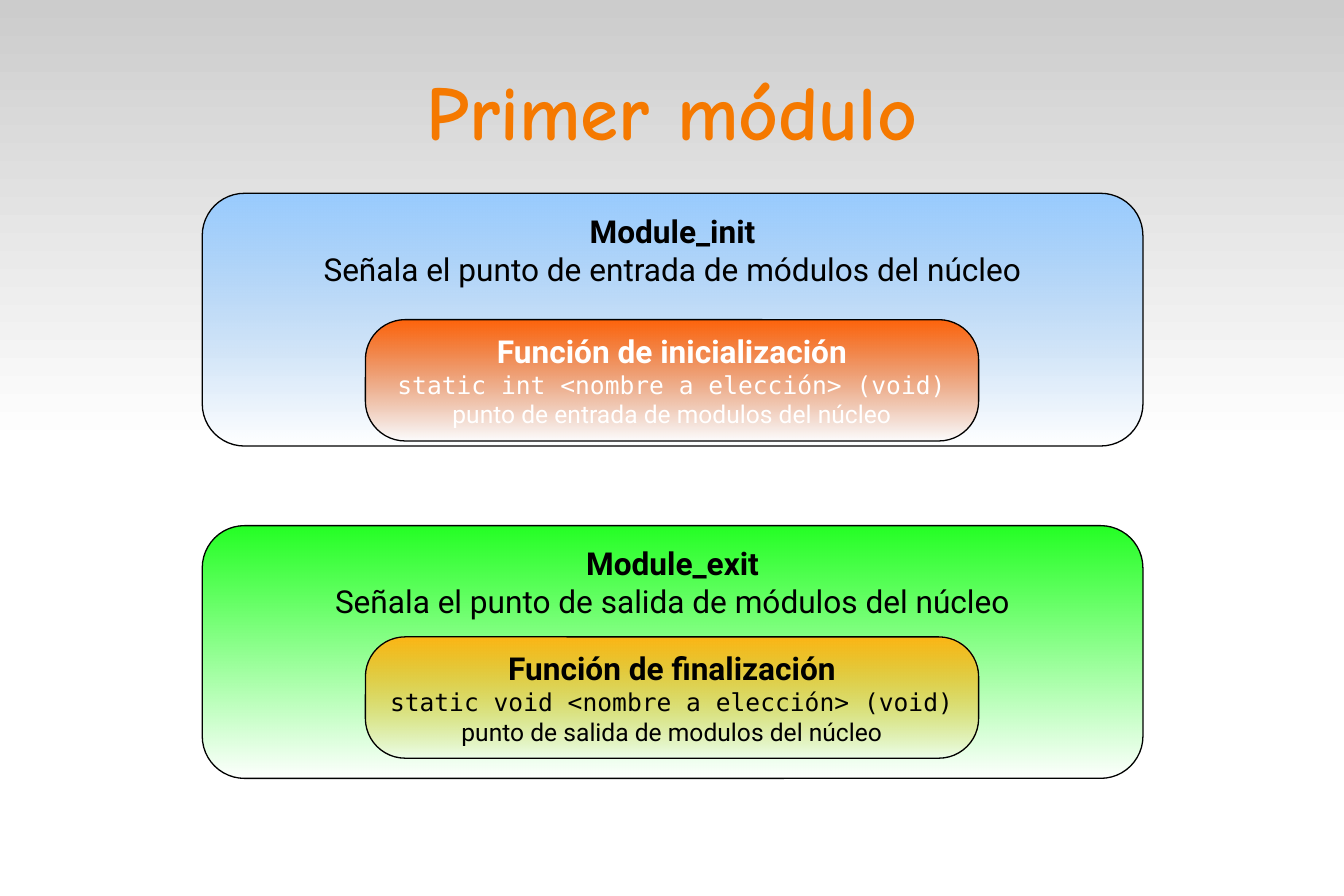
from lxml.etree import SubElement
from pptx import Presentation
from pptx.dml.color import RGBColor
from pptx.enum.shapes import MSO_SHAPE as Shape
from pptx.enum.text import MSO_ANCHOR as Anchor, PP_ALIGN as Align
from pptx.oxml.ns import qn
from pptx.util import Inches, Pt

COLORS = {
    "title": "F57900", "sky_top": "CCCCCC", "white": "FFFFFF", "black": "000000",
    "blue": "99CCFF", "orange": "FF6309", "green": "23FF23", "amber": "FFB515",
}
SANS, MONO, TITLE_FONT = "Roboto", "DejaVu Sans Mono", "Comic Neue"
SLIDE_WIDTH, SLIDE_HEIGHT = 10.63, 7.09
MODULE_LEFT, MODULE_WIDTH, MODULE_HEIGHT = 1.6, 7.44, 2
FUNCTION_INDENT, FUNCTION_WIDTH, FUNCTION_HEIGHT = 1.29, 4.85, 0.96

MODULES = [
    {
        "top": 1.53, "fill": "blue", "name": "Module_init",
        "summary": "Señala el punto de entrada de módulos del núcleo",
        "function_offset": 1, "function_fill": "orange", "function_text": "white",
        "function": "Función de inicialización",
        "signature": "static int <nombre a elección> (void)",
        "note": "punto de entrada de modulos del núcleo",
    },
    {
        "top": 4.16, "fill": "green", "name": "Module_exit",
        "summary": "Señala el punto de salida de módulos del núcleo",
        "function_offset": 0.88, "function_fill": "amber", "function_text": "black",
        "function": "Función de finalización",
        "signature": "static void <nombre a elección> (void)",
        "note": "punto de salida de modulos del núcleo",
    },
]


def rgb(name):
    """Return the named colour."""
    return RGBColor.from_string(COLORS[name])


def fill_downward(shape, start, end, fades=False):
    """Fill a shape from top to bottom, optionally fading to transparent."""
    shape.fill.gradient()
    shape.fill.gradient_angle = 270
    for stop, color in zip(shape.fill.gradient_stops, (start, end)):
        stop.color.rgb = rgb(color)
    if fades:
        last_color = list(shape.element.spPr.iter(qn("a:srgbClr")))[-1]
        SubElement(last_color, qn("a:alpha"), val="0")


def write_lines(text_frame, lines, color):
    """Write centred lines given as text, size, font and bold."""
    text_frame.text = "\n".join(line[0] for line in lines)
    for paragraph, (_, size, font_name, bold) in zip(text_frame.paragraphs, lines):
        paragraph.alignment = Align.CENTER
        font = paragraph.runs[0].font
        font.size, font.name, font.bold = Pt(size), font_name, bold
        font.color.rgb = rgb(color)


def add_panel(slide, box, rounding, fill, lines, color, anchor):
    """Add a rounded, fading panel with text."""
    shape = slide.shapes.add_shape(Shape.ROUNDED_RECTANGLE, *map(Inches, box))
    shape.adjustments[0] = rounding
    shape.shadow.inherit = False
    fill_downward(shape, fill, fill, fades=True)
    shape.line.color.rgb = rgb("black")
    shape.line.width = Pt(0)
    shape.text_frame.word_wrap = True
    shape.text_frame.vertical_anchor = anchor
    write_lines(shape.text_frame, lines, color)


def add_module(slide, left, top, width, height, module):
    """Add a module panel and the function panel inside it."""
    add_panel(slide, (left, top, width, height), 0.167, module["fill"],
              [(module["name"], 18, SANS, True), (module["summary"], 18, SANS, False)],
              "black", Anchor.TOP)
    function_box = (left + FUNCTION_INDENT, top + module["function_offset"],
                    FUNCTION_WIDTH, FUNCTION_HEIGHT)
    add_panel(slide, function_box, 0.328, module["function_fill"],
              [(module["function"], 18, SANS, True),
               (module["signature"], 14, MONO, False),
               (module["note"], 14, SANS, False)],
              module["function_text"], Anchor.MIDDLE)


def add_sky(slide, left, top, width, height):
    """Add the grey gradient behind everything else."""
    sky = slide.shapes.add_shape(Shape.RECTANGLE, *map(Inches, (left, top, width, height)))
    sky.shadow.inherit = False
    sky.line.fill.background()
    fill_downward(sky, "sky_top", "white")
    sky.element.getparent().insert(2, sky.element)


def set_title(slide, left, top, width, height):
    """Place and format the title."""
    title = slide.shapes.title
    title.left, title.top, title.width, title.height = map(Inches, (left, top, width, height))
    frame = title.text_frame
    frame.margin_left = frame.margin_top = frame.margin_right = frame.margin_bottom = 0
    frame.vertical_anchor = Anchor.MIDDLE
    write_lines(frame, [("Primer módulo", 44, TITLE_FONT, True)], "title")


def main():
    """Build and save the presentation."""
    presentation = Presentation()
    presentation.slide_width = Inches(SLIDE_WIDTH)
    presentation.slide_height = Inches(SLIDE_HEIGHT)
    slide = presentation.slides.add_slide(presentation.slide_layouts[5])
    add_sky(slide, 0, 0, SLIDE_WIDTH, SLIDE_HEIGHT / 2)
    set_title(slide, 0.53, 0.28, 9.57, 1.18)
    for module in MODULES:
        add_module(slide, MODULE_LEFT, module["top"], MODULE_WIDTH, MODULE_HEIGHT, module)
    presentation.save("out.pptx")


if __name__ == "__main__":
    main()
